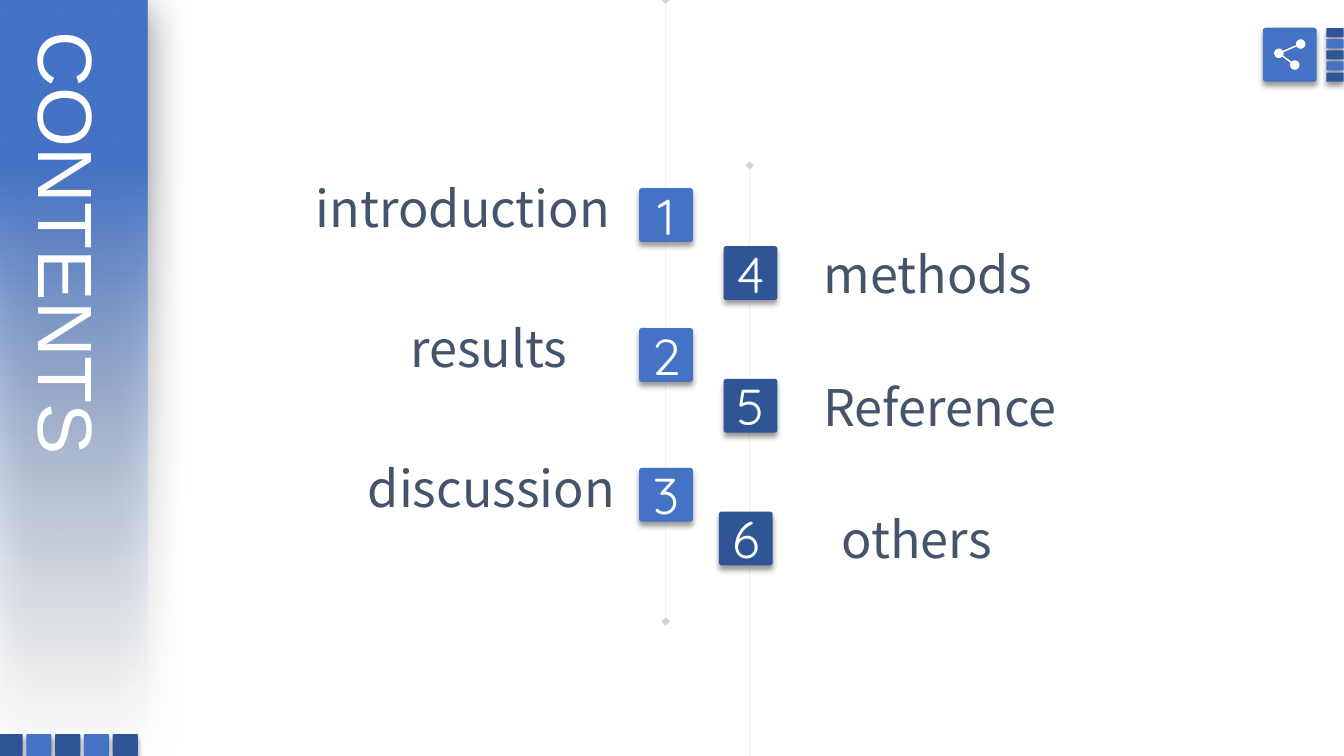
from math import atan2, cos, pi, sin
from lxml.etree import SubElement
from pptx import Presentation
from pptx.dml.color import RGBColor
from pptx.enum.shapes import MSO_CONNECTOR, MSO_SHAPE
from pptx.enum.text import MSO_ANCHOR, MSO_AUTO_SIZE, PP_ALIGN
from pptx.oxml.ns import qn
from pptx.util import Inches, Pt

BLUE, NAVY, SLATE, WHITE = "4472C4", "2F5597", "44546A", "FFFFFF"
COLUMNS, ROWS = 160, 90
TILE = 6.4


def rgb(value):
    return RGBColor.from_string(value)


def set_alpha(color_element, percent):
    SubElement(color_element, qn("a:alpha"), val=str(percent * 1000))


class Deck:
    def __init__(self):
        self.prs = Presentation()
        self.prs.slide_width, self.prs.slide_height = Inches(13.33), Inches(7.5)
        self.s = self.prs.slides.add_slide(self.prs.slide_layouts[5])

    def x(self, columns):
        return round(self.prs.slide_width * columns / COLUMNS)

    def y(self, rows):
        return round(self.prs.slide_height * rows / ROWS)

    def box(self, left, top, width, height):
        return self.x(left), self.y(top), self.x(width), self.y(height)

    def shadow(self, sp, alpha, blur, distance, direction):
        sp.shadow.inherit = False
        effects = sp.element.spPr.find(qn("a:effectLst"))
        outer = SubElement(effects, qn("a:outerShdw"), blurRad=str(Pt(blur)), dist=str(Pt(distance)),
                           dir=str(direction * 60000), algn="ctr", rotWithShape="0")
        set_alpha(SubElement(outer, qn("a:srgbClr"), val="000000"), alpha)

    def text(self, tf, text, size, font, color, align=PP_ALIGN.LEFT, anchor=MSO_ANCHOR.TOP):
        tf.text = text
        tf.auto_size = MSO_AUTO_SIZE.NONE
        tf.vertical_anchor = anchor
        p = tf.paragraphs[0]
        p.alignment = align
        p.font.size, p.font.name = Pt(size), font
        p.font.color.rgb = rgb(color)

    def line(self, column, top, bottom):
        c = self.s.shapes.add_connector(MSO_CONNECTOR.STRAIGHT, self.x(column), self.y(top),
                                        self.x(column), self.y(bottom))
        c.line.width = Pt(0.25)
        c.line.color.rgb = rgb("808080")
        ln = c.element.spPr.find(qn("a:ln"))
        set_alpha(ln.find(".//" + qn("a:srgbClr")), 33)
        for end in ("a:headEnd", "a:tailEnd"):
            SubElement(ln, qn(end), type="diamond")
        SubElement(c.element.spPr, qn("a:effectLst"))

    def panel(self, *box):
        sp = self.s.shapes.add_shape(MSO_SHAPE.RECTANGLE, *self.box(*box))
        sp.line.fill.background()
        sp.fill.gradient()
        sp.fill.gradient_angle = 270
        for stop, position, color in zip(sp.fill.gradient_stops, (0.22, 1), (BLUE, "F7FAFD")):
            stop.position = position
            stop.color.rgb = rgb(color)
        set_alpha(sp.element.spPr.findall(".//" + qn("a:srgbClr"))[-1], 0)
        self.shadow(sp, 50, 31, 6, 97)
        return sp

    def title(self, text, panel, *box):
        sp = self.s.shapes.title
        sp.left, sp.top, sp.width, sp.height = self.box(*box)
        tf = sp.text_frame
        self.text(tf, text, 55, "Arial", WHITE)
        tf.paragraphs[0].line_spacing = 1
        sp.element.txBody.bodyPr.set("vert", "eaVert")
        panel.element.addnext(sp.element)

    def tile(self, color, left, top, width=TILE, height=TILE, number=None):
        sp = self.s.shapes.add_shape(MSO_SHAPE.ROUNDED_RECTANGLE, *self.box(left, top, width, height))
        sp.adjustments[0] = 0.05
        sp.fill.solid()
        sp.fill.fore_color.rgb = rgb(color)
        sp.line.fill.background()
        self.shadow(sp, 40, 4, 3, 90)
        if number:
            self.text(sp.text_frame, str(number), 36, "Quicksand", WHITE, PP_ALIGN.CENTER, MSO_ANCHOR.MIDDLE)

    def label(self, text, *box):
        tf = self.s.shapes.add_textbox(*self.box(*box)).text_frame
        tf.word_wrap = False
        self.text(tf, text, 36, "Noto Sans CJK SC", SLATE)

    def share_icon(self, top_node, hub, low_node, radius):
        def heading(a, b):
            return atan2(b[1] - a[1], b[0] - a[0])

        gap, steps = 0.16, 24
        to_top, to_low = heading(hub, top_node), heading(hub, low_node)
        from_top, from_low = heading(top_node, hub), heading(low_node, hub)
        arcs = [(top_node, from_top - gap, from_top + gap - 2 * pi),
                (hub, to_top - gap, to_low + gap - 2 * pi),
                (low_node, from_low - gap, from_low + gap - 2 * pi),
                (hub, to_low - gap, to_top + gap)]
        points = []
        for (cx, cy), start, end in arcs:
            for i in range(steps + 1):
                angle = start + (end - start) * i / steps
                points.append((self.x(cx + radius * cos(angle)), self.y(cy + radius * sin(angle))))
        builder = self.s.shapes.build_freeform(*points[0])
        builder.add_line_segments(points[1:])
        sp = builder.convert_to_shape()
        sp.fill.solid()
        sp.fill.fore_color.rgb = rgb(WHITE)
        sp.line.fill.background()
        sp.shadow.inherit = False


def main():
    deck = Deck()
    deck.line(89.25, 19.7, 91.8)
    deck.line(79.25, 0, 74)
    panel = deck.panel(0, 0, 17.6, 89.5)
    deck.title("CONTENTS", panel, 1.4, 3.2, 13.6, 59.3)

    for i in range(5):
        color = BLUE if i % 2 else NAVY
        deck.tile(color, -0.3 + 3.43 * i, 87.4, 3, 2.6)
        deck.tile(color, 157.9, 3.35 + 1.32 * i, 2.05, 1.08)

    left_items = [("introduction", 76.1, 36.4, 38.2), ("results", 76.1, 47.65, 21.2),
                  ("discussion", 76.1, 42.6, 32.3)]
    right_items = [("methods", 86.15, 96.85, 28.1), ("Reference", 86.15, 96.85, 31),
                   ("others", 85.6, 99, 20.9)]
    groups = [(left_items, BLUE, 1, 22.4, 16.65, 1.9), (right_items, NAVY, 4, 29.3, 15.8, 0.95)]
    for items, color, first, top, pitch, lift in groups:
        for i, (name, tile_left, label_left, width) in enumerate(items):
            row = top + pitch * i
            deck.tile(color, tile_left, row, number=first + i)
            deck.label(name, label_left, row - lift, width, 8.5)

    deck.tile(BLUE, 150.35, 3.3)
    deck.share_icon((154.85, 5.25), (152.25, 6.35), (154.15, 7.75), 0.56)
    deck.prs.save("out.pptx")


if __name__ == "__main__":
    main()
